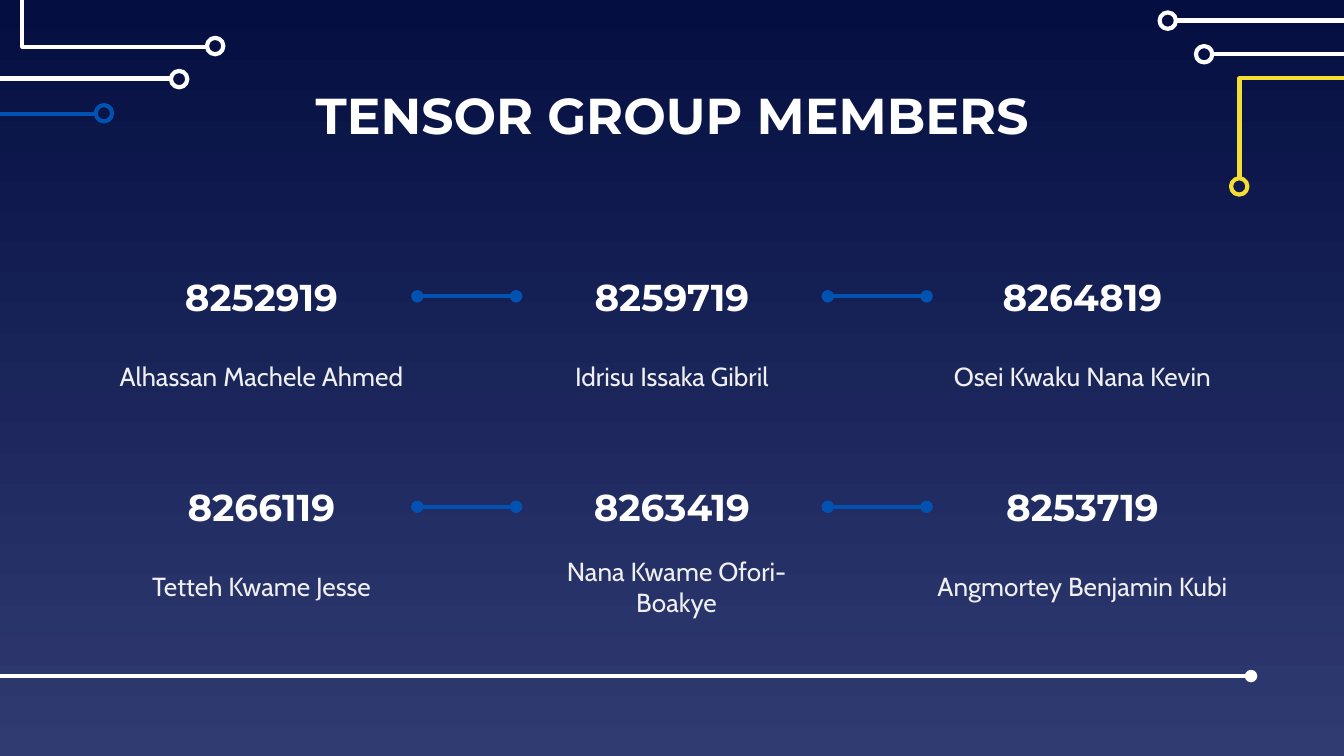
import pptx
import pptx.dml.color
import pptx.enum.shapes
import pptx.enum.text
import pptx.oxml.ns
import pptx.util
from lxml import etree

Pt = pptx.util.Pt
qn = pptx.oxml.ns.qn
MIDDLE = pptx.enum.text.MSO_ANCHOR.MIDDLE
CENTER = pptx.enum.text.PP_ALIGN.CENTER
WHITE, BLUE, YELLOW, PALE = "FFFFFF", "0152B1", "F5DE34", "EFEFEF"


def paint(color_format, value):
    color_format.rgb = pptx.dml.color.RGBColor.from_string(value)


def write_text(box, text, font, size, color, bold):
    frame = box.text_frame
    frame.word_wrap = True
    frame.auto_size = pptx.enum.text.MSO_AUTO_SIZE.NONE
    frame.vertical_anchor = MIDDLE
    frame.margin_left = frame.margin_right = Pt(7.2)
    frame.margin_top = frame.margin_bottom = Pt(7.2)
    para = frame.paragraphs[0]
    para.alignment = CENTER
    span = para.add_run()
    span.text = text
    span.font.name = font
    span.font.size = Pt(size)
    span.font.bold = bold
    paint(span.font.color, color)


deck = pptx.Presentation()
deck.slide_width, deck.slide_height = Pt(720), Pt(405)
page = deck.slides.add_slide(deck.slide_layouts[5])

backdrop = page.background.fill
backdrop.gradient()
backdrop.gradient_angle = 270
for stop, color in zip(backdrop.gradient_stops, ["040E41", "303B72"]):
    paint(stop.color, color)

elbow_width, elbow_height = 100.2, 79.2
ring_size, ring_gap = 8.8, 3.6
traces = [
    (WHITE, 625.6, 11.1, 1),
    (YELLOW, 663.9, 99.9, 0),
    (WHITE, 645.1, 29.1, 1),
    (WHITE, 115.3, 24.7, -1),
    (WHITE, 96, 42.4, -1),
    (BLUE, 55.7, 60.7, -1),
]
for color, ring_x, ring_y, direction in traces:
    if direction:
        start_x = ring_x + direction * ring_gap
        corner_x = start_x + direction * elbow_width
        points = [(start_x, ring_y), (corner_x, ring_y), (corner_x, ring_y - elbow_height)]
    else:
        points = [(663.7, 95.5), (663.7, 42.5), (748.8, 42.5), (748.8, -8.6)]
    builder = page.shapes.build_freeform(*points[0], scale=Pt(1))
    builder.add_line_segments(points[1:], close=False)
    trace = builder.convert_to_shape()
    ring = page.shapes.add_shape(
        pptx.enum.shapes.MSO_SHAPE.OVAL, Pt(ring_x - ring_size / 2),
        Pt(ring_y - ring_size / 2), Pt(ring_size), Pt(ring_size))
    for outline in (trace, ring):
        outline.shadow.inherit = False
        outline.fill.background()
        outline.line.width = Pt(2.25)
        paint(outline.line.color, color)

footer_line = page.shapes.add_connector(
    pptx.enum.shapes.MSO_CONNECTOR.STRAIGHT, Pt(-0.5), Pt(362.2), Pt(670.2), Pt(362.2))
lines = [(footer_line, WHITE, ["tailEnd"])]

title = page.shapes.title
title.left, title.top, title.width, title.height = Pt(117), Pt(42.5), Pt(486), Pt(37.5)
write_text(title, "TENSOR GROUP MEMBERS", "Montserrat", 27, WHITE, True)

column_left, column_step, column_width = 56.6, 219.9, 167
row_top, row_step = 140, 112.8
members = [
    [("8252919", "Alhassan Machele Ahmed", 0, 167),
     ("8259719", "Idrisu Issaka Gibril", 0, 167),
     ("8264819", "Osei Kwaku Nana Kevin", 0, 167)],
    [("8266119", "Tetteh Kwame Jesse", 0, 167),
     ("8263419", "Nana Kwame Ofori-Boakye", 0, 172),
     ("8253719", "Angmortey Benjamin Kubi", -4, 175)],
]
for row, people in enumerate(members):
    top = row_top + row * row_step
    previous = None
    for column, (number, name, shift, name_width) in enumerate(people):
        left = column_left + column * column_step
        number_box = page.shapes.add_textbox(Pt(left), Pt(top), Pt(column_width), Pt(37.5))
        write_text(number_box, number, "Montserrat", 20, WHITE, True)
        name_box = page.shapes.add_textbox(
            Pt(left + shift), Pt(top + 42.3), Pt(name_width), Pt(38))
        write_text(name_box, name, "Cabin", 14, PALE, False)
        if previous is not None:
            link = page.shapes.add_connector(
                pptx.enum.shapes.MSO_CONNECTOR.STRAIGHT, 0, 0, 0, 0)
            link.begin_connect(previous, 3)
            link.end_connect(number_box, 1)
            lines.append((link, BLUE, ["headEnd", "tailEnd"]))
        previous = number_box

for line, color, ends in lines:
    line.line.width = Pt(2.25)
    paint(line.line.color, color)
    properties = line._element.spPr
    for end in ends:
        etree.SubElement(properties.find(qn("a:ln")), qn("a:" + end), type="oval")
    etree.SubElement(properties, qn("a:effectLst"))

deck.save("out.pptx")
